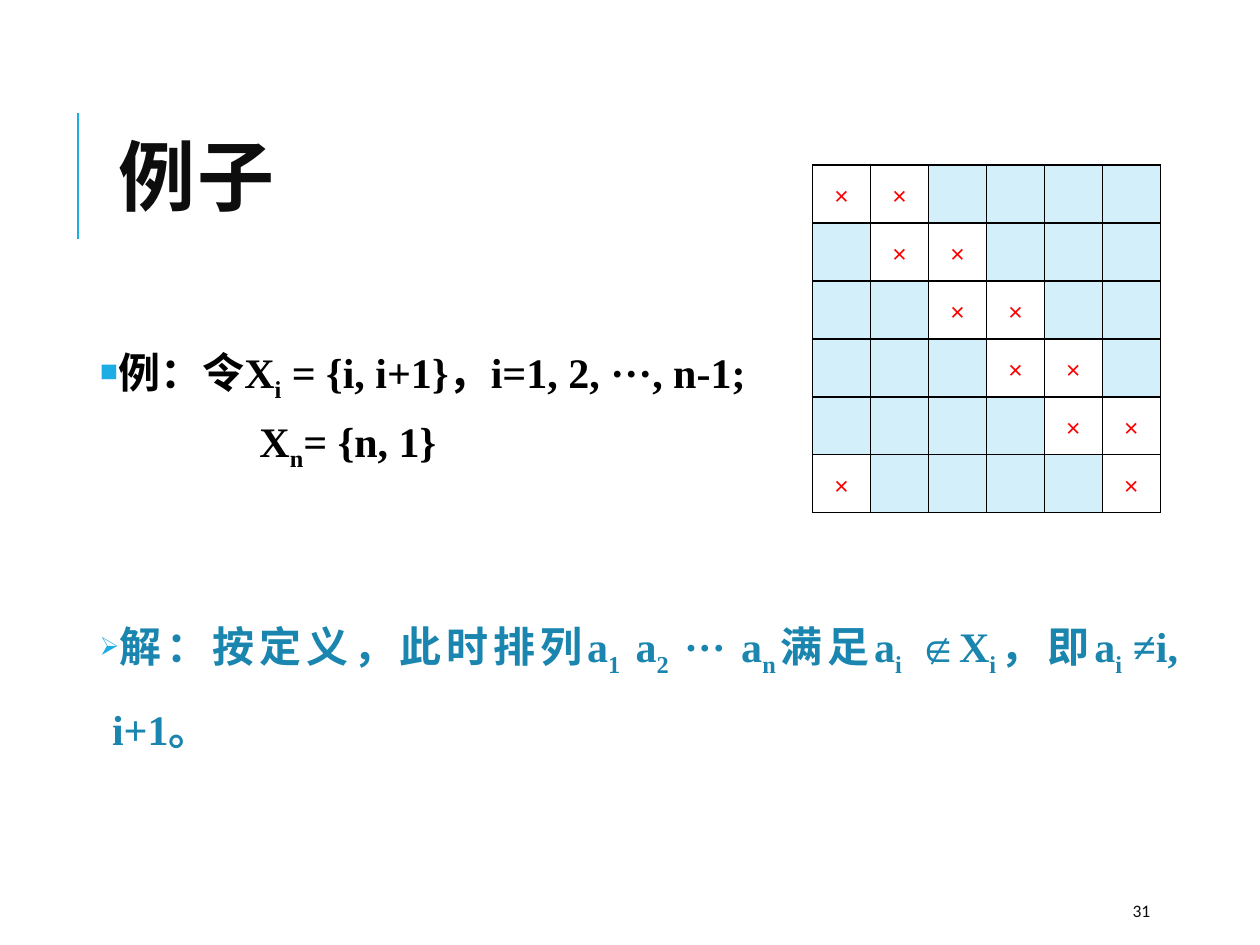
from lxml.etree import SubElement
from pptx import Presentation
from pptx.dml.color import RGBColor
from pptx.enum.shapes import MSO_CONNECTOR
from pptx.enum.text import MSO_ANCHOR as Anchor, PP_ALIGN as Align
from pptx.oxml.ns import qn
from pptx.util import Pt

ACCENT = "1CADE4"
INK = "0D0D0D"
BODY_FONT = "Times New Roman"
GRID_SIZE = 6
CELL_SIDE = 33.12


def rgb(hex_color):
    return RGBColor.from_string(hex_color)


def set_font(paragraph, name, size, color, bold=False):
    font = paragraph.font
    font.name, font.size, font.bold = name, Pt(size), bold
    font.color.rgb = rgb(color)


def set_spacing(paragraph, lines, before, after):
    paragraph.line_spacing = lines
    paragraph.space_before, paragraph.space_after = Pt(before), Pt(after)


def set_indent(paragraph, left, first=0):
    props = paragraph._p.get_or_add_pPr()
    props.set("marL", str(Pt(left)))
    props.set("indent", str(Pt(first)))


def add_bullet(paragraph, char):
    props = paragraph._p.get_or_add_pPr()
    color = SubElement(props, qn("a:buClr"))
    SubElement(color, qn("a:srgbClr"), val=ACCENT)
    SubElement(props, qn("a:buSzPct"), val="60000")
    SubElement(props, qn("a:buChar"), char=char)


def add_formula(paragraph, markup):
    """Add runs from markup in which every second part between bars is a subscript."""
    for index, part in enumerate(markup.split("|")):
        run = paragraph.add_run()
        run.text = part
        if index % 2:
            run._r.get_or_add_rPr().set("baseline", "-25000")


def add_text_frame(slide, left, top, width, height, inset=3.6):
    frame = slide.shapes.add_textbox(Pt(left), Pt(top), Pt(width), Pt(height)).text_frame
    frame.word_wrap = True
    frame.margin_left = frame.margin_right = Pt(inset)
    frame.margin_top = frame.margin_bottom = Pt(3.6)
    return frame


def add_title(slide, text):
    title = slide.shapes.title
    title.left, title.top, title.width, title.height = Pt(60.5), Pt(46), Pt(281.5), Pt(118)
    title.text_frame.vertical_anchor = Anchor.MIDDLE
    heading = title.text_frame.paragraphs[0]
    heading.alignment = Align.LEFT
    heading.line_spacing = 0.8
    set_font(heading, "Calibri", 44, INK, bold=True)
    run = heading.add_run()
    run.text = text
    run._r.get_or_add_rPr().set("spc", "100")


def add_title_rule(slide):
    rule = slide.shapes.add_connector(
        MSO_CONNECTOR.STRAIGHT, Pt(44.64), Pt(136.8), Pt(44.64), Pt(64.8))
    rule.line.color.rgb = rgb(ACCENT)
    rule.line.width = Pt(1.5)
    SubElement(rule._element.spPr, qn("a:effectLst"))


def add_example(slide):
    frame = add_text_frame(slide, 53.28, 187.92, 399.6, 79.2)
    general = frame.paragraphs[0]
    set_indent(general, 7.2, -7.2)
    set_spacing(general, 1.2, 18, 0)
    add_bullet(general, "■")
    add_formula(general, "例：令X|i| = {i, i+1}，i=1, 2, ···, n-1;")
    last = frame.add_paragraph()
    set_indent(last, 91.4)
    set_spacing(last, 1.2, 0, 2)
    add_formula(last, "X|n|= {n, 1}")
    for paragraph in frame.paragraphs:
        set_font(paragraph, BODY_FONT, 24, "000000", bold=True)


def add_solution(slide):
    solution = add_text_frame(slide, 53.28, 334.8, 623.52, 51.12).paragraphs[0]
    solution.alignment = Align.JUSTIFY
    set_indent(solution, 7.2, -7.2)
    set_spacing(solution, 1.5, 12, 2)
    add_bullet(solution, "➢")
    set_font(solution, BODY_FONT, 24, "1A85AE", bold=True)
    add_formula(solution, "解：按定义，此时排列a|1| a|2| ··· a|n|满足a|i| ∉X|i|，即a|i |≠i, i+1。")


def add_page_number(slide, number):
    frame = add_text_frame(slide, 640.08, 509.76, 57.6, 21.6, inset=7.2)
    frame.vertical_anchor = Anchor.MIDDLE
    page = frame.paragraphs[0]
    page.text = number
    set_font(page, "Calibri", 10, INK)


def add_borders(cell):
    props = cell._tc.get_or_add_tcPr()
    for side in ("lnL", "lnR", "lnT", "lnB"):
        border = SubElement(props, qn(f"a:{side}"), w=str(Pt(1)))
        fill = SubElement(border, qn("a:solidFill"))
        SubElement(fill, qn("a:srgbClr"), val="000000")


def add_forbidden_grid(slide):
    """Mark column i and its cyclic successor as forbidden in row i."""
    side = Pt(CELL_SIDE * GRID_SIZE)
    grid = slide.shapes.add_table(
        GRID_SIZE, GRID_SIZE, Pt(464.4), Pt(94.32), side, side).table
    grid.first_row = grid.horz_banding = False
    for band in (*grid.rows,):
        band.height = Pt(CELL_SIDE)
    for band in grid.columns:
        band.width = Pt(CELL_SIDE)
    for row in range(GRID_SIZE):
        for col in range(GRID_SIZE):
            cell = grid.cell(row, col)
            forbidden = col in (row, (row + 1) % GRID_SIZE)
            add_borders(cell)
            cell.fill.solid()
            cell.fill.fore_color.rgb = rgb("FFFFFF" if forbidden else "D2EFFA")
            if forbidden:
                cell.vertical_anchor = Anchor.MIDDLE
                mark = cell.text_frame.paragraphs[0]
                mark.text = "×"
                mark.alignment = Align.CENTER
                set_font(mark, "Cabin", 20, "FF0000")


def main():
    deck = Presentation()
    deck.slide_width, deck.slide_height = Pt(720), Pt(540)
    slide = deck.slides.add_slide(deck.slide_layouts[5])
    add_title_rule(slide)
    add_title(slide, "例子")
    add_example(slide)
    add_page_number(slide, "31")
    add_solution(slide)
    add_forbidden_grid(slide)
    deck.save("out.pptx")


if __name__ == "__main__":
    main()
